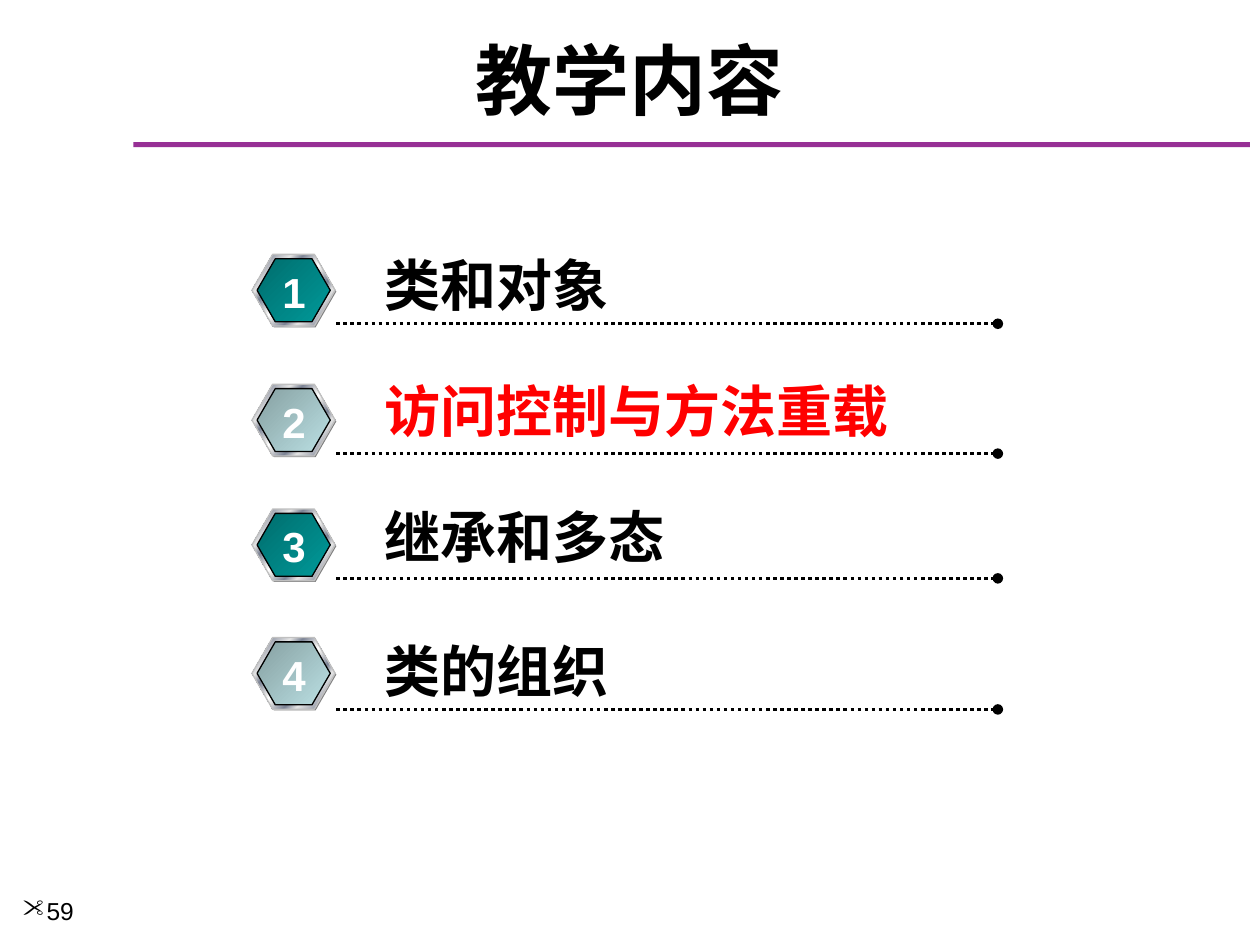
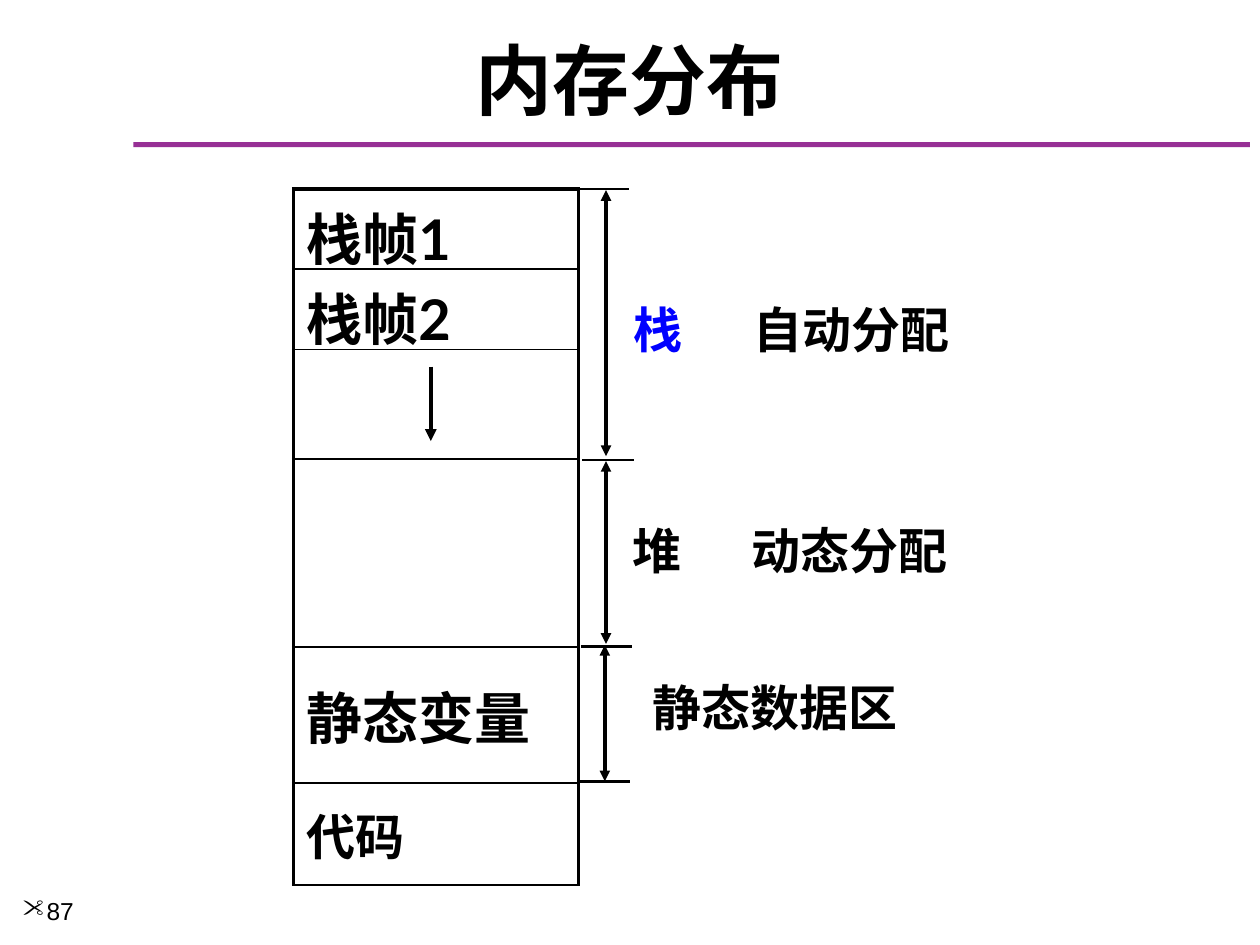
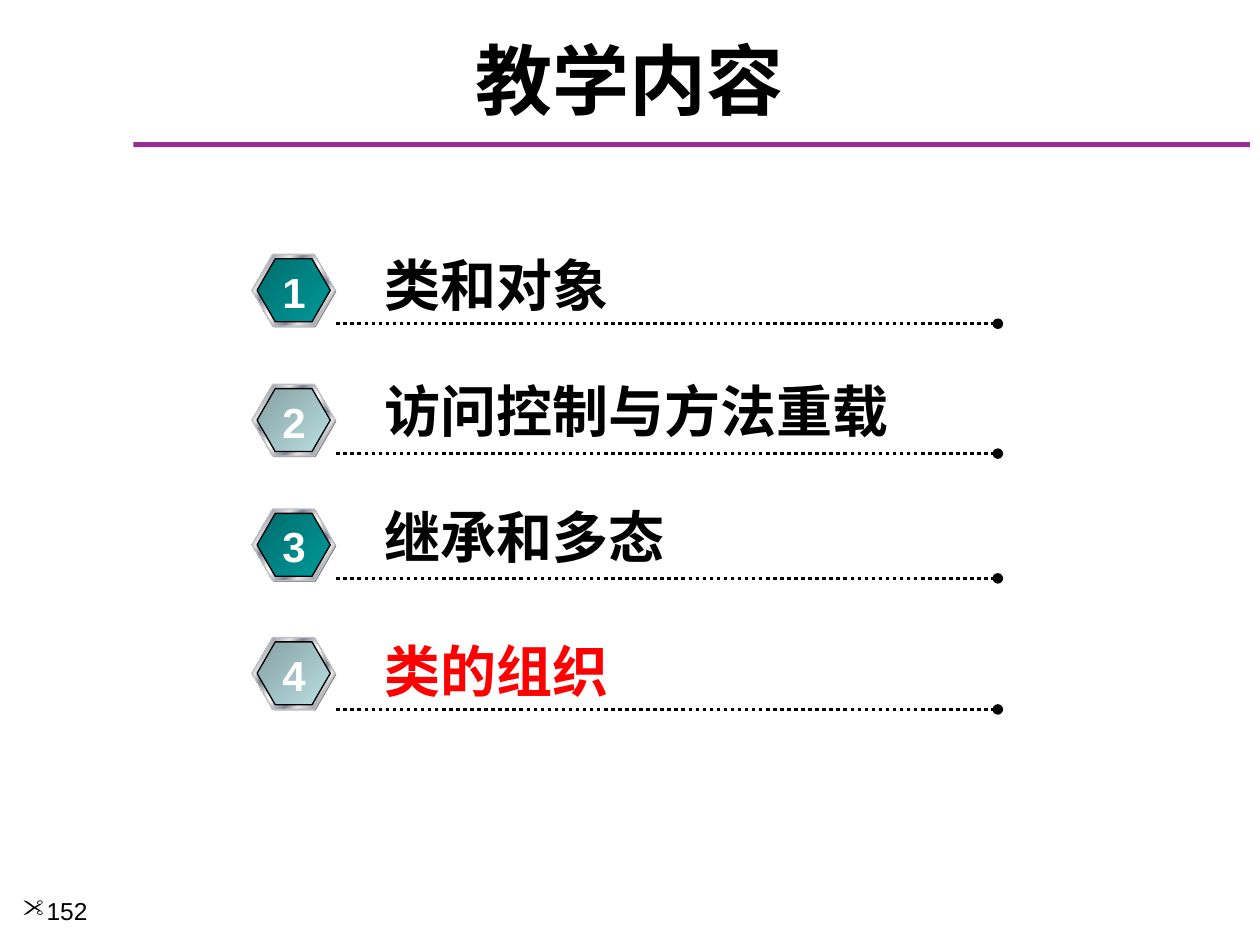
from dataclasses import dataclass

from lxml import etree
from pptx import Presentation
from pptx import util as u
from pptx.dml.color import RGBColor
from pptx.enum import dml, shapes, text
from pptx.oxml.ns import qn

Pt = u.Pt


@dataclass(frozen=True)
class Theme:
    black: str = "000000"
    white: str = "FFFFFF"
    band: str = "973095"
    active: str = "FF0000"
    stack: str = "0000FF"
    shade: str = "808080"
    ring_edge: str = "C0C0C0"
    ring: tuple = ((0, "E6E6E6"), (8, "7D8496"), (26, "E6E6E6"), (34, "7D8496"),
                   (46, "E6E6E6"), (50, "FFFFFF"), (54, "E6E6E6"), (66, "7D8496"),
                   (74, "E6E6E6"), (92, "7D8496"), (100, "E6E6E6"))
    badges: tuple = (((0, "006D6D"), (100, "009999")), ((0, "86A0A2"), (100, "BBE0E3")))
    body_font: str = "Arial"
    cell_font: str = "Lato"
    cjk_font: str = "Noto Sans CJK SC"
    title: int = 44
    item: int = 32
    note: int = 28
    number: int = 24
    page: int = 14


T = Theme()

TOPICS = (
    ("类和对象", 139.7, 145.4, 185),
    ("访问控制与方法重载", 211.7, 219.6, 259.2),
    ("继承和多态", 283.7, 290.9, 330.5),
    ("类的组织", 360, 364.3, 405.4),
)

MEMORY_ROWS = (
    ("栈帧1", T.item, 43.2),
    ("栈帧2", T.item, 46.1),
    ("", T.item, 62.6),
    ("", T.item, 54),
    ("", T.item, 53.3),
    ("静态变量", T.item, 77.8),
    ("代码", T.note, 58.3),
)

REGION_TICKS = ((329.8, 108), (332.6, 262.8), (331.9, 369.4), (330.5, 446.4))
REGION_SPANS = ((346.3, 108.7, 260.6), (346.3, 263.5, 367.9), (345.6, 368.6, 446.4))
REGION_LABELS = (
    ("栈", 355, 167.8, T.stack),
    ("自动分配", 423.4, 167.8, T.black),
    ("堆", 354.2, 293.8, T.black),
    ("动态分配", 422.6, 293.8, T.black),
    ("静态数据区", 365.8, 383.8, T.black),
)


def rgb(value):
    return RGBColor.from_string(value)


def add_child(parent, tag, **attrs):
    return etree.SubElement(parent, qn(tag), attrs)


def write(tf, words, size, color=T.black, font=T.body_font, bold=True, align=None):
    p = tf.paragraphs[0]
    p.text = words
    p.alignment = align
    p.font.size = Pt(size)
    p.font.bold = bold
    p.font.color.rgb = rgb(color)
    p.font.name = font
    add_child(p._p.pPr.find(qn("a:defRPr")), "a:ea", typeface=T.cjk_font)


def add_box(parent, x, y, w, h):
    sp = parent.shapes.add_textbox(Pt(x), Pt(y), Pt(w), Pt(h))
    sp.text_frame.word_wrap = True
    return sp.text_frame


def add_label(parent, words, x, y, size, color=T.black):
    tf = add_box(parent, x, y, len(words) * size + 16, size * 1.2 + 7.2)
    tf.word_wrap = False
    tf.auto_size = text.MSO_AUTO_SIZE.SHAPE_TO_FIT_TEXT
    write(tf, words, size, color)


def add_line(s, start, end, width, head=None, tail=None, dash=None):
    sp = s.shapes.add_connector(shapes.MSO_CONNECTOR.STRAIGHT, *map(Pt, start + end))
    sp.line.color.rgb = rgb(T.black)
    sp.line.width = Pt(width)
    if dash:
        sp.line.dash_style = dash
    ln = sp.line._get_or_add_ln()
    for tag, kind in (("a:headEnd", head), ("a:tailEnd", tail)):
        if kind:
            add_child(ln, tag, type=kind)
    add_child(sp._element.spPr, "a:effectLst")


def fill_gradient(sp, stops):
    sp.fill.gradient()
    sp.fill.gradient_angle = 315
    gs_list = sp._element.spPr.find(".//" + qn("a:gsLst"))
    gs_list.clear()
    for pos, color in stops:
        gs = add_child(gs_list, "a:gs", pos=str(pos * 1000))
        add_child(gs, "a:srgbClr", val=color)


def add_hexagon(group, x, y, w, h, fill, edge=None):
    sp = group.shapes.add_shape(shapes.MSO_SHAPE.HEXAGON, Pt(x), Pt(y), Pt(w), Pt(h))
    sp.adjustments[0] = 0.289
    sp.shadow.inherit = False
    if isinstance(fill, str):
        sp.fill.solid()
        sp.fill.fore_color.rgb = rgb(fill)
    else:
        fill_gradient(sp, fill)
    if edge:
        sp.line.color.rgb = rgb(edge)
        sp.line.width = Pt(0.75)
    else:
        sp.line.fill.background()


def add_badge(s, number, y):
    x = 144
    group = s.shapes.add_group_shape()
    add_hexagon(group, x + 0.7, y + 0.7, 47.5, 41, T.shade)
    add_hexagon(group, x, y, 47.5, 41, T.ring, T.ring_edge)
    add_hexagon(group, x + 2.9, y + 2.5, 41.8, 36, T.badges[(number - 1) % 2], T.black)
    tf = add_box(group, x + 10.1, y + 3.2, 28, 36)
    tf.word_wrap = False
    write(tf, str(number), T.number, T.white, align=text.PP_ALIGN.CENTER)


def add_page_number(s, page):
    tf = add_box(s, 5.8, 508.3, 77.8, 31.7)
    pPr = tf.paragraphs[0]._p.get_or_add_pPr()
    pPr.set("marL", str(Pt(13.7)))
    pPr.set("indent", str(-Pt(13.7)))
    add_child(pPr, "a:buFont", typeface="Wingdings", charset="2")
    add_child(pPr, "a:buChar", char='"')
    write(tf, str(page), T.page, bold=False)


def new_slide(prs, title, page):
    s = prs.slides.add_slide(prs.slide_layouts[6])
    band = s.shapes.add_shape(shapes.MSO_SHAPE.RECTANGLE, Pt(76.3), Pt(81.2), Pt(637.9), Pt(2.9))
    band.shadow.inherit = False
    band.fill.solid()
    band.fill.fore_color.rgb = rgb(T.band)
    band.line.fill.background()
    tf = add_box(s, 12, 18, 696, 54)
    tf.vertical_anchor = text.MSO_ANCHOR.MIDDLE
    write(tf, title, T.title, font=T.cjk_font, align=text.PP_ALIGN.CENTER)
    add_page_number(s, page)
    return s


def add_agenda(prs, page, active):
    s = new_slide(prs, "教学内容", page)
    for number, (topic, label_y, badge_y, rule_y) in enumerate(TOPICS, 1):
        add_line(s, (192.2, rule_y), (570.2, rule_y), 2, tail="oval",
                 dash=dml.MSO_LINE.ROUND_DOT)
        add_label(s, topic, 212.4, label_y, T.item,
                  T.active if number == active else T.black)
        add_badge(s, number, badge_y)


def set_borders(cell, **widths):
    tcPr = cell._tc.get_or_add_tcPr()
    for i, side in enumerate("LRTB"):
        width = widths[side]
        ln = etree.Element(qn("a:ln" + side), w=str(Pt(width)))
        if width:
            add_child(add_child(ln, "a:solidFill"), "a:srgbClr", val=T.black)
        else:
            add_child(ln, "a:noFill")
        tcPr.insert(i, ln)


def add_memory_table(s):
    height = sum(row[2] for row in MEMORY_ROWS)
    table = s.shapes.add_table(len(MEMORY_ROWS), 1, Pt(167.8), Pt(108),
                               Pt(162.7), Pt(height)).table
    table.first_row = table.horz_banding = False
    for i, (words, size, row_height) in enumerate(MEMORY_ROWS):
        table.rows[i].height = Pt(row_height)
        cell = table.cell(i, 0)
        cell.fill.background()
        cell.vertical_anchor = text.MSO_ANCHOR.MIDDLE
        set_borders(cell, L=2.25, R=2.25, T={0: 2.25, 4: 0}.get(i, 1), B=0 if i == 3 else 1)
        if words:
            write(cell.text_frame, words, size, font=T.cell_font)


def add_memory_layout(prs, page):
    s = new_slide(prs, "内存分布", page)
    add_memory_table(s)
    add_line(s, (246.2, 209.5), (246.2, 252), 2.25, tail="triangle")
    for x, y in REGION_TICKS:
        add_line(s, (x, y), (x + 29.5, y), 1.5)
    for x, top, bottom in REGION_SPANS:
        add_line(s, (x, top), (x, bottom), 2, head="triangle", tail="triangle")
    for words, x, y, color in REGION_LABELS:
        add_label(s, words, x, y, T.note, color)


def main():
    prs = Presentation()
    prs.slide_width, prs.slide_height = Pt(720), Pt(540)
    add_agenda(prs, 59, active=2)
    add_memory_layout(prs, 87)
    add_agenda(prs, 152, active=4)
    prs.save("out.pptx")


if __name__ == "__main__":
    main()
